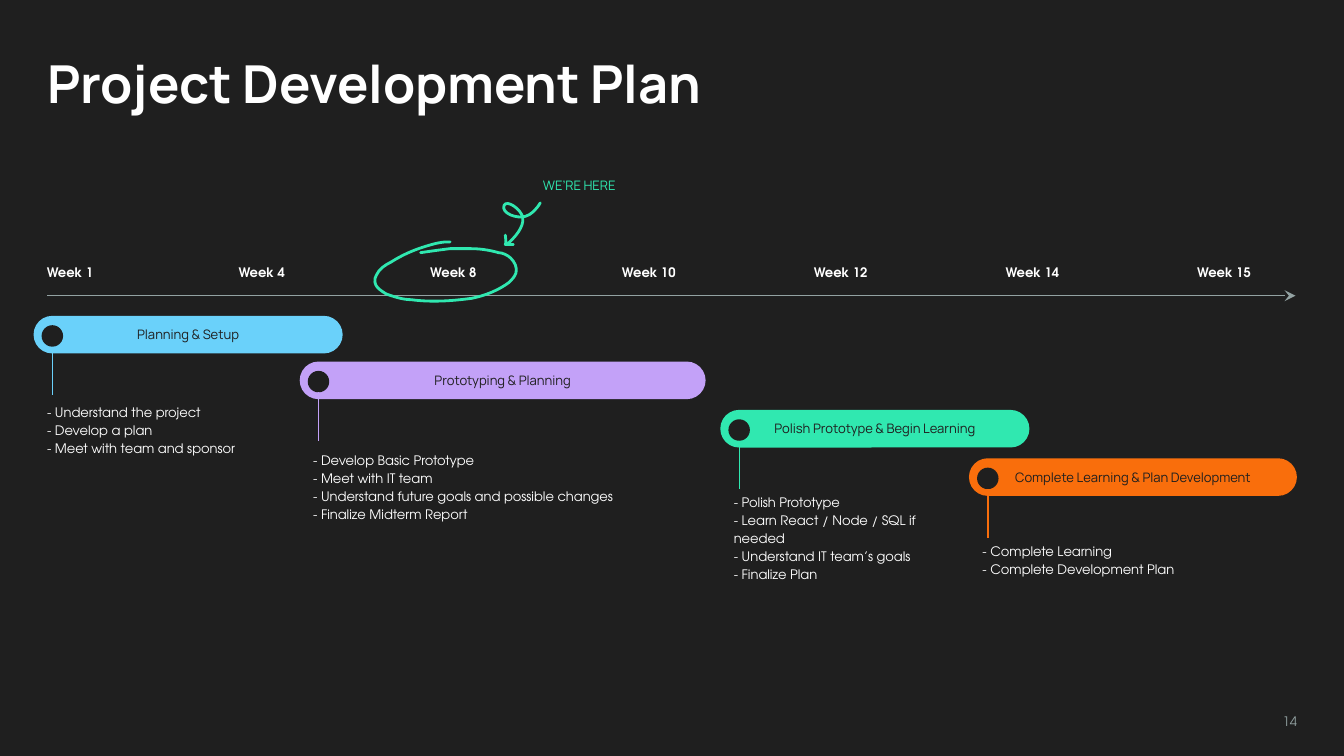
from dataclasses import dataclass

from lxml.etree import SubElement
from pptx import Presentation
from pptx.dml.color import RGBColor
from pptx.enum.shapes import MSO_CONNECTOR, MSO_SHAPE
from pptx.enum.text import MSO_ANCHOR, MSO_AUTO_SIZE, PP_ALIGN
from pptx.oxml.ns import qn
from pptx.util import Inches, Pt

COLORS = {
    "background": "1F1F1F",
    "text": "FFFFFF",
    "axis": "93A2A2",
    "setup": "6AD1FA",
    "prototype": "C3A1F8",
    "polish": "30E8B0",
    "complete": "F96E0C",
}
HEADING_FONT = "Manrope"
BODY_FONT = "TeX Gyre Adventor"
BAR_HEIGHT = 0.28
DOT_SIZE = 0.16

Point = tuple[float, float]
Box = tuple[float, float, float, float]


@dataclass
class Phase:
    name: str
    color: str
    left: float
    top: float
    width: float
    tasks_box: Box
    tasks: list[str]


@dataclass
class Stroke:
    """A pen stroke: a start point, then Bézier segments of three points each."""
    start: Point
    curves: list[tuple[Point, Point, Point]]


WEEKS = ["Week 1", "Week 4", "Week 8", "Week 10", "Week 12", "Week 14", "Week 15"]
PHASES = [
    Phase("Planning & Setup", "setup", 0.25, 2.35, 2.3, (0.25, 2.89, 1.77, 0.49),
          ["- Understand the project", "- Develop a plan", "- Meet with team and sponsor"]),
    Phase("Prototyping & Planning", "prototype", 2.23, 2.69, 3.02, (2.23, 3.25, 3.02, 0.63),
          ["- Develop Basic Prototype", "- Meet with IT team",
           "- Understand future goals and possible changes", "- Finalize Midterm Report"]),
    Phase("Polish Prototype & Begin Learning", "polish", 5.36, 3.05, 2.3, (5.36, 3.56, 1.84, 0.73),
          ["- Polish Prototype", "- Learn React / Node / SQL if needed",
           "- Understand IT team’s goals", "- Finalize Plan"]),
    Phase("Complete Learning & Plan Development", "complete", 7.21, 3.41, 2.44,
          (7.21, 3.93, 1.77, 0.35), ["- Complete Learning", "- Complete Development Plan"]),
]
CIRCLE = Stroke((3.35, 1.8), [
    ((3.31, 1.8), (3.3, 1.8), (3.25, 1.81)),
    ((3.13, 1.84), (3.02, 1.88), (2.91, 1.95)),
    ((2.87, 1.97), (2.82, 2), (2.8, 2.05)),
    ((2.78, 2.08), (2.79, 2.12), (2.81, 2.14)),
    ((2.83, 2.16), (2.86, 2.18), (2.88, 2.19)),
    ((2.94, 2.21), (3, 2.23), (3.06, 2.23)),
    ((3.21, 2.25), (3.36, 2.24), (3.51, 2.22)),
    ((3.61, 2.2), (3.71, 2.16), (3.79, 2.1)),
    ((3.81, 2.08), (3.83, 2.06), (3.84, 2.03)),
    ((3.85, 1.99), (3.83, 1.95), (3.8, 1.92)),
    ((3.78, 1.9), (3.74, 1.88), (3.71, 1.88)),
    ((3.64, 1.86), (3.57, 1.85), (3.5, 1.85)),
    ((3.45, 1.85), (3.4, 1.85), (3.35, 1.85)),
    ((3.27, 1.86), (3.2, 1.87), (3.13, 1.88)),
])
CURLY_ARROW = [
    Stroke((4.02, 1.51), [
        ((3.99, 1.56), (3.95, 1.6), (3.91, 1.61)),
        ((3.85, 1.63), (3.73, 1.59), (3.75, 1.53)),
        ((3.77, 1.48), (3.88, 1.56), (3.89, 1.62)),
        ((3.9, 1.69), (3.83, 1.77), (3.77, 1.82)),
    ]),
    Stroke((3.76, 1.75), [((3.76, 1.77), (3.77, 1.8), (3.76, 1.82))]),
    Stroke((3.76, 1.82), [((3.78, 1.82), (3.8, 1.82), (3.82, 1.82))]),
]


def rgb(name: str) -> RGBColor:
    return RGBColor.from_string(COLORS[name])


def place(shape, box: Box) -> None:
    shape.left, shape.top, shape.width, shape.height = map(Inches, box)


def write(shape, lines: list[str], font: str, color: str, size: float = 7, bold: bool = False,
          align=PP_ALIGN.LEFT, anchor=MSO_ANCHOR.TOP, spacing: float = 1.0) -> None:
    frame = shape.text_frame
    frame.word_wrap = True
    frame.auto_size = MSO_AUTO_SIZE.NONE
    frame.vertical_anchor = anchor
    frame.margin_left = frame.margin_right = Inches(0.1)
    frame.margin_top = frame.margin_bottom = Inches(0.1)
    for number, line in enumerate(lines):
        paragraph = frame.add_paragraph() if number else frame.paragraphs[0]
        paragraph.alignment = align
        paragraph.line_spacing = spacing
        paragraph.space_before = Pt(0)
        if shape.is_placeholder:
            properties = paragraph._p.get_or_add_pPr()
            properties.set("marL", "0")
            properties.set("indent", "0")
            SubElement(properties, qn("a:buNone"))
        run = paragraph.add_run()
        run.text = line
        run.font.name = font
        run.font.size = Pt(size)
        run.font.bold = bold
        run.font.color.rgb = rgb(color)


def add_label(slide, box: Box, text: str, color: str, **style) -> None:
    label = slide.shapes.add_textbox(*map(Inches, box))
    write(label, [text], BODY_FONT, color, **style)


def add_plain_shape(slide, kind, box: Box, fill: str | None):
    """Add a shape without outline or shadow, and without fill if none is named."""
    shape = slide.shapes.add_shape(kind, *map(Inches, box))
    shape.shadow.inherit = False
    shape.line.fill.background()
    if fill:
        shape.fill.solid()
        shape.fill.fore_color.rgb = rgb(fill)
    else:
        shape.fill.background()
    return shape


def add_pill(slide, box: Box, text: str, fill: str | None, text_color: str) -> None:
    pill = add_plain_shape(slide, MSO_SHAPE.ROUNDED_RECTANGLE, box, fill)
    pill.adjustments[0] = 0.5
    write(pill, [text], HEADING_FONT, text_color, align=PP_ALIGN.CENTER, anchor=MSO_ANCHOR.MIDDLE)


def add_line(slide, start: Point, end: Point, color: str):
    line = slide.shapes.add_connector(MSO_CONNECTOR.STRAIGHT, *map(Inches, start + end))
    line.line.color.rgb = rgb(color)
    line.line.width = Pt(0.75)
    SubElement(line._element.spPr, qn("a:effectLst"))
    return line


def add_stroke(slide, stroke: Stroke, color: str) -> None:
    """Lay out all points as line segments, then join each three into one Bézier segment."""
    points = [(Inches(x), Inches(y)) for curve in stroke.curves for x, y in curve]
    builder = slide.shapes.build_freeform(*map(Inches, stroke.start), scale=1.0)
    builder.add_line_segments(points, close=False)
    outline = builder.convert_to_shape()
    properties = outline._element.spPr
    segments = list(properties.iter(qn("a:lnTo")))
    for first in range(0, len(segments), 3):
        curve = SubElement(segments[first].getparent(), qn("a:cubicBezTo"))
        for segment in segments[first:first + 3]:
            curve.append(segment[0])
            segment.getparent().remove(segment)
    outline.shadow.inherit = False
    outline.fill.background()
    outline.line.color.rgb = rgb(color)
    outline.line.width = Pt(1.5)
    properties.find(qn("a:ln")).set("cap", "rnd")


def add_phase(slide, phase: Phase, tasks_placeholder) -> None:
    left, top = phase.left, phase.top
    add_pill(slide, (left, top, phase.width, BAR_HEIGHT), phase.name, phase.color, "background")
    add_plain_shape(slide, MSO_SHAPE.OVAL, (left + 0.06, top + 0.07, DOT_SIZE, DOT_SIZE), "background")
    stem = left + 0.06 + DOT_SIZE / 2
    add_line(slide, (stem, top + 0.23), (stem, top + 0.59), phase.color)
    place(tasks_placeholder, phase.tasks_box)
    write(tasks_placeholder, phase.tasks, BODY_FONT, "text", spacing=1.15)


def main() -> None:
    deck = Presentation()
    deck.slide_width = Inches(10)
    deck.slide_height = deck.slide_width * 9 // 16
    slide = deck.slides.add_slide(deck.slide_layouts.get_by_name("Comparison"))
    slide.background.fill.solid()
    slide.background.fill.fore_color.rgb = rgb("background")

    title, *task_placeholders = slide.placeholders
    place(title, (0.25, 0.28, 6.24, 0.67))
    write(title, ["Project Development Plan"], HEADING_FONT, "text", size=28, bold=True)

    axis = add_line(slide, (0.35, 2.2), (9.64, 2.2), "axis")
    SubElement(axis._element.spPr.find(qn("a:ln")), qn("a:tailEnd"), type="stealth")
    week_step = (8.81 - 0.25) / (len(WEEKS) - 1)
    for number, week in enumerate(WEEKS):
        add_label(slide, (0.25 + number * week_step, 1.87, 0.83, 0.22), week, "text", bold=True)

    for phase, placeholder in zip(PHASES, task_placeholders):
        add_phase(slide, phase, placeholder)

    for stroke in [CIRCLE, *CURLY_ARROW]:
        add_stroke(slide, stroke, "polish")
    add_pill(slide, (3.75, 1.24, 1.12, BAR_HEIGHT), "WE’RE HERE", None, "polish")
    add_label(slide, (7.35, 5.21, 2.4, 0.32), "14", "axis", align=PP_ALIGN.RIGHT)
    deck.save("out.pptx")


if __name__ == "__main__":
    main()
